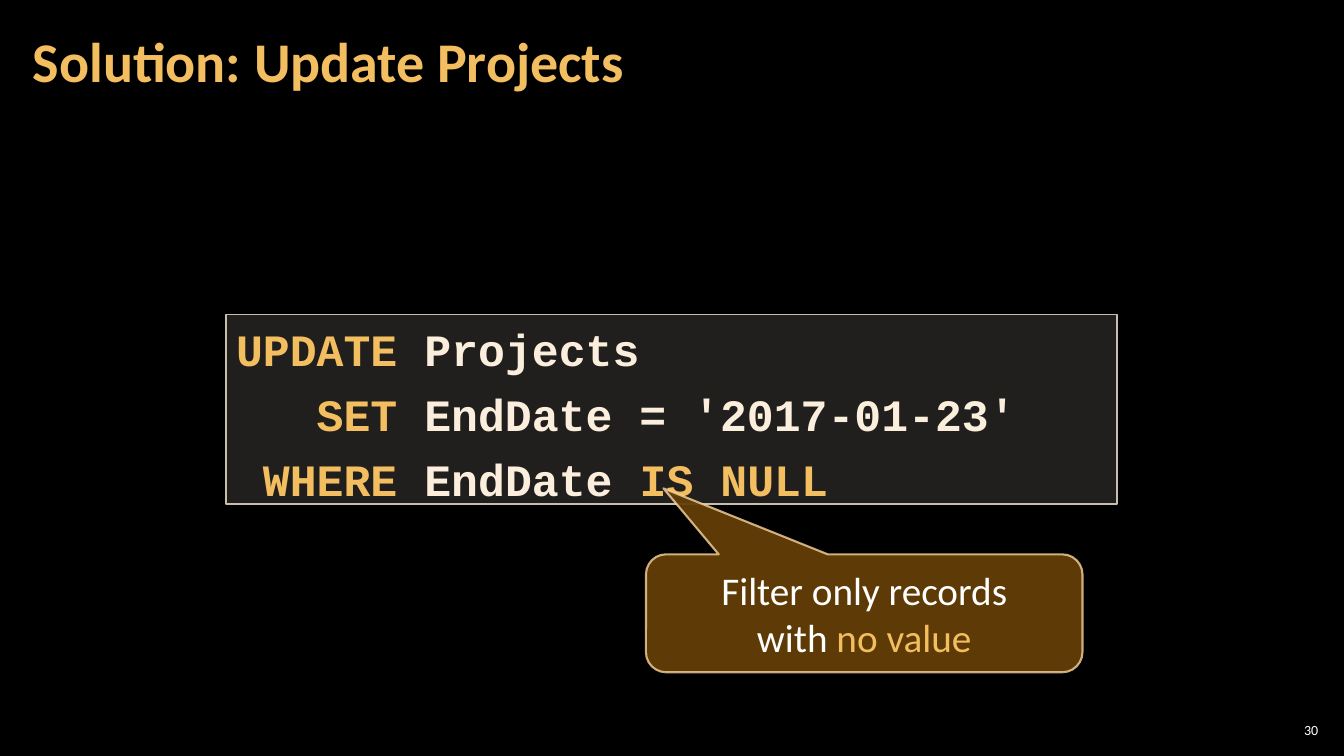
import pptx
import pptx.dml.color
import pptx.enum.shapes
import pptx.enum.text
import pptx.oxml
import pptx.oxml.ns
import pptx.util

Cm = pptx.util.Cm
Pt = pptx.util.Pt
Align = pptx.enum.text.PP_ALIGN
Anchor = pptx.enum.text.MSO_ANCHOR
Shape = pptx.enum.shapes.MSO_SHAPE

GOLD, CREAM, WHITE = "F3BE60", "FBEEDC", "FFFFFF"

TITLE = [[("Solution: Update Projects", GOLD)]]
PAGE = [[("30", WHITE)]]
QUERY = [
    [("UPDATE", GOLD), (" Projects", CREAM)],
    [("SET", GOLD), (" EndDate = '2017-01-23'", CREAM)],
    [("WHERE", GOLD), (" EndDate ", CREAM), ("IS NULL", GOLD)],
]
HINT = [
    [("Filter only records", WHITE)],
    [("with ", WHITE), ("no value", GOLD)],
]
CODE_SIZE = 32
CODE_ADVANCE = 0.6


def paint(color_format, hex_color, opacity=100):
    color_format.rgb = pptx.dml.color.RGBColor.from_string(hex_color)
    if opacity < 100:
        tint = color_format._xFill.find(pptx.oxml.ns.qn("a:srgbClr"))
        alpha = pptx.oxml.parse_xml(
            "<a:alpha %s val='%d'/>" % (pptx.oxml.ns.nsdecls("a"), opacity * 1000))
        tint.append(alpha)


def write(owner, lines, size, font="Calibri", bold=False, align=Align.LEFT,
          anchor=Anchor.MIDDLE, insets=(0.25, 0.13)):
    frame = owner.text_frame
    frame.word_wrap = True
    frame.vertical_anchor = anchor
    frame.margin_left = frame.margin_right = Cm(insets[0])
    frame.margin_top = frame.margin_bottom = Cm(insets[1])
    frame.text = "\n".join("" for _ in lines)
    for paragraph, pieces in zip(frame.paragraphs, lines):
        paragraph.alignment = align
        for words, color in pieces:
            run = paragraph.add_run()
            run.text = words
            run.font.name = font
            run.font.size = Pt(size)
            run.font.bold = bold
            paint(run.font.color, color)
    return frame.paragraphs


def add_panel(kind, box, fill, fill_opacity, line, line_width, line_opacity=100):
    panel = slide.shapes.add_shape(kind, *map(Cm, box))
    panel.shadow.inherit = False
    panel.fill.solid()
    paint(panel.fill.fore_color, fill, fill_opacity)
    panel.line.width = Pt(line_width)
    panel.line.fill.solid()
    paint(panel.line.fill.fore_color, line, line_opacity)
    return panel


deck = pptx.Presentation()
deck.slide_width, deck.slide_height = Cm(33.87), Cm(19.05)
slide = deck.slides.add_slide(deck.slide_layouts[6])
slide.background.fill.solid()
paint(slide.background.fill.fore_color, "000000")

page = slide.shapes.add_textbox(Cm(32.13), Cm(18.14), Cm(1.19), Cm(0.53))
write(page, PAGE, 10, align=Align.RIGHT, insets=(0.1, 0.1))

title = slide.shapes.add_textbox(Cm(0.53), Cm(0.1), Cm(26.6), Cm(3.07))
heading = write(title, TITLE, 40, bold=True, insets=(0.3, 0.1))
heading[0].line_spacing = 0.9

query = add_panel(Shape.RECTANGLE, (5.7, 7.92, 22.45, 4.78),
                  "D9D5C7", 15, "C7BFAC", 1)
clauses = write(query, QUERY, CODE_SIZE, "Courier New", True, anchor=Anchor.TOP)
keyword_width = max(len(pieces[0][0]) for pieces in QUERY)
for clause, pieces in zip(clauses, QUERY):
    clause.space_before = Pt(6)
    clause.line_spacing = 1.05
    missing = keyword_width - len(pieces[0][0])
    indent = Pt(missing * CODE_SIZE * CODE_ADVANCE)
    clause._p.get_or_add_pPr().set("marL", str(int(indent)))

hint = add_panel(Shape.ROUNDED_RECTANGULAR_CALLOUT, (16.28, 13.97, 11, 2.97),
                 "643F07", 95, "F8D49E", 1.5, 80)
for place, value in enumerate((-0.46, -1.06, 0.17)):
    hint.adjustments[place] = value
write(hint, HINT, 28, align=Align.CENTER)

deck.save("out.pptx")
